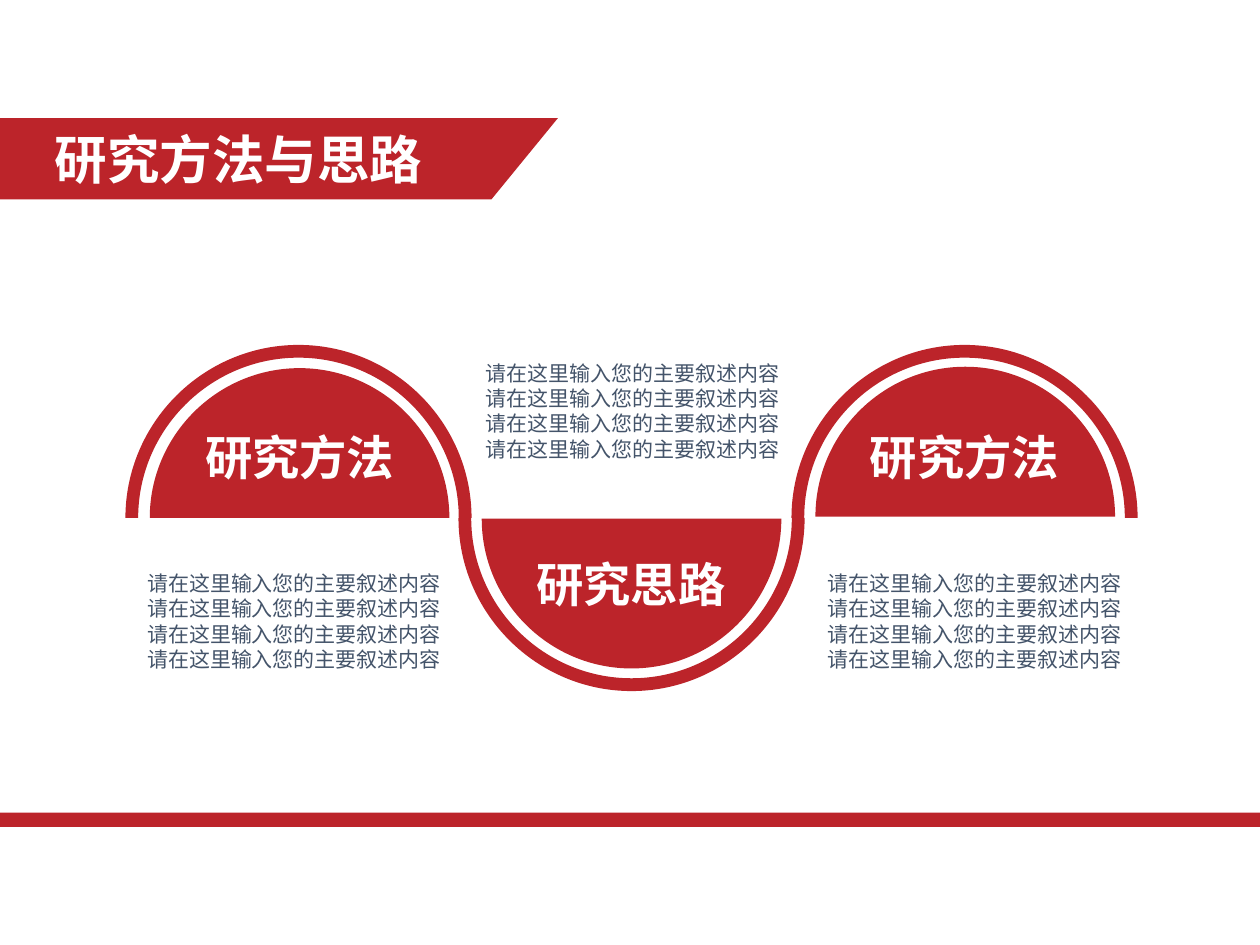
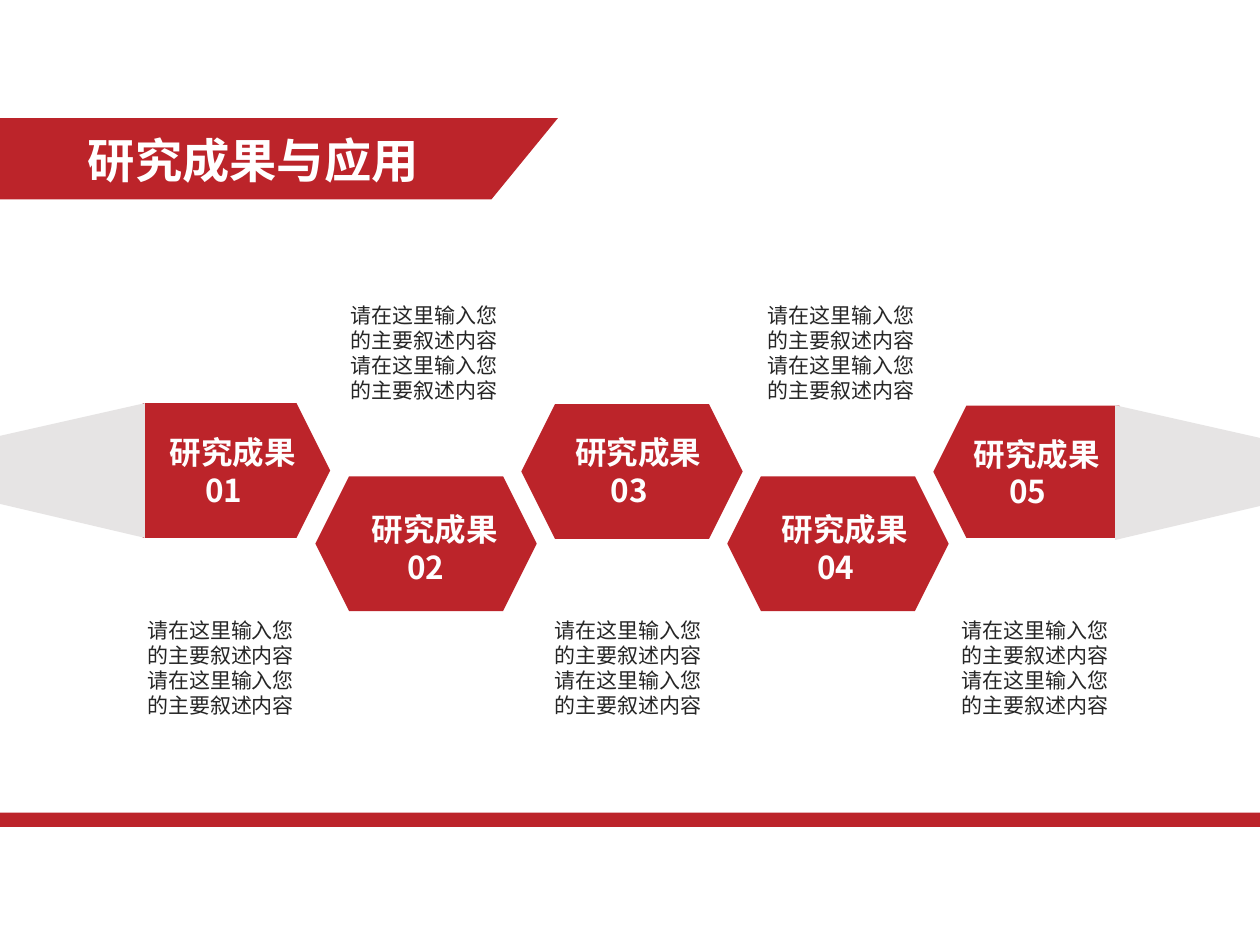
from lxml.etree import SubElement
from pptx import Presentation
from pptx.dml.color import RGBColor
from pptx.enum.shapes import MSO_SHAPE
from pptx.enum.text import MSO_AUTO_SIZE, PP_ALIGN
from pptx.oxml.ns import qn
from pptx.util import Pt

RED = RGBColor(0xBC, 0x24, 0x2A)
GREY = RGBColor(0xE6, 0xE4, 0xE4)
WHITE = RGBColor(0xFF, 0xFF, 0xFF)
OFF_WHITE = RGBColor(0xFE, 0xFE, 0xFE)
SLATE = RGBColor(0x44, 0x54, 0x6A)
INK = RGBColor(0x26, 0x26, 0x26)
SC_FONT = "Noto Sans CJK SC"
JP_FONT = "Noto Sans CJK JP"
PAGE_WIDTH, PAGE_HEIGHT = 720, 540
ARC_HANDLE = 0.55


def write(paragraph, text, *, size, color, font=SC_FONT, bold=False,
          align=PP_ALIGN.LEFT, indent=0):
    """Fill a paragraph with one formatted run."""
    paragraph.alignment = align
    paragraph.line_spacing = Pt(1.2 * size)
    if indent:
        properties = paragraph._p.get_or_add_pPr()
        properties.set("marL", str(Pt(indent)))
        properties.set("indent", "0")
    run = paragraph.add_run()
    run.text = text
    run.font.name = font
    run.font.size = Pt(size)
    run.font.bold = bold
    run.font.color.rgb = color
    SubElement(run._r.get_or_add_rPr(), qn("a:ea")).set("typeface", font)


def half_circle(center_x, base, radius, side):
    """Return left end, peak and right end; side is -1 above the base, 1 below."""
    return [(center_x - radius, base), (center_x, base + side * radius),
            (center_x + radius, base)]


def bend_quarters(shape):
    """Turn the two segments at each peak of an outline into quarter circles."""
    segments = list(shape._element.iter(qn("a:moveTo"), qn("a:lnTo")))
    points = [(int(segment[0].get("x")), int(segment[0].get("y")))
              for segment in segments]
    for index in range(1, len(points)):
        if index % 3 == 0:
            continue
        (x0, y0), (x1, y1) = points[index - 1:index + 1]
        dx, dy = ARC_HANDLE * (x1 - x0), ARC_HANDLE * (y1 - y0)
        if index % 3 == 1:
            handles = [(x0, y0 + dy), (x1 - dx, y1)]
        else:
            handles = [(x0 + dx, y0), (x1, y1 - dy)]
        segment = segments[index]
        segment.tag = qn("a:cubicBezTo")
        segment.remove(segment[0])
        for x, y in handles + [(x1, y1)]:
            SubElement(segment, qn("a:pt"), x=str(round(x)), y=str(round(y)))


class Deck:
    """Holds the presentation, the shared style and the current slide."""

    def __init__(self):
        self.presentation = Presentation()
        self.presentation.slide_width = Pt(PAGE_WIDTH)
        self.presentation.slide_height = Pt(PAGE_HEIGHT)
        self.slide = None

    def new_slide(self, title, left, top, **style):
        """Add a slide with the title band and the bottom bar."""
        blank = self.presentation.slide_layouts[6]
        self.slide = self.presentation.slides.add_slide(blank)
        self.outline([(0, 67.5), (318.8, 67.5), (280.8, 114), (0, 114)], RED)
        self.preset(MSO_SHAPE.RECTANGLE, 0, 464.4, PAGE_WIDTH, 8.2, RED)
        self.text([title], left, top, color=WHITE, bold=True, **style)

    def paint(self, shape, color):
        """Give a shape a flat fill without line or shadow."""
        shape.shadow.inherit = False
        shape.fill.solid()
        shape.fill.fore_color.rgb = color
        shape.line.fill.background()

    def preset(self, kind, left, top, width, height, color):
        """Draw a preset shape."""
        shape = self.slide.shapes.add_shape(
            kind, Pt(left), Pt(top), Pt(width), Pt(height))
        self.paint(shape, color)
        return shape

    def outline(self, points, color):
        """Draw a closed outline through the points."""
        start, *others = [(Pt(x), Pt(y)) for x, y in points]
        builder = self.slide.shapes.build_freeform(*start, scale=1.0)
        builder.add_line_segments(others, close=True)
        shape = builder.convert_to_shape()
        self.paint(shape, color)
        return shape

    def text(self, lines, left, top, *, size, height=None, fill=None,
             last_indent=0, **style):
        """Place lines in a box that fits them, on a filled plate if asked."""
        width = max(map(len, lines)) * size + 14.4
        height = height or len(lines) * 1.2 * size + 7.2
        if fill:
            box = self.preset(MSO_SHAPE.RECTANGLE, left, top, width, height, fill)
        else:
            box = self.slide.shapes.add_textbox(
                Pt(left), Pt(top), Pt(width), Pt(height))
        frame = box.text_frame
        frame.word_wrap = False
        frame.auto_size = MSO_AUTO_SIZE.SHAPE_TO_FIT_TEXT
        for number, line in enumerate(lines, 1):
            paragraph = frame.paragraphs[0] if number == 1 else frame.add_paragraph()
            indent = last_indent if number == len(lines) else 0
            write(paragraph, line, size=size, indent=indent, **style)

    def wave(self, center_x, side, disc_x, disc_base):
        """Draw a half ring around a half disc."""
        outer = half_circle(center_x, 296, 98.9, side)
        inner = half_circle(center_x, 296, 91.6, side)
        bend_quarters(self.outline(outer + inner[::-1], RED))
        bend_quarters(self.outline(half_circle(disc_x, disc_base, 85.6, side), RED))


def build_methods(deck):
    """Build the slide on research methods."""
    deck.new_slide("研究方法与思路", 24.1, 69.1, size=30, font=JP_FONT,
                   align=PP_ALIGN.CENTER)
    waves = [
        ("研究方法", (170.6, -1, 171.2, 296), (110, 241.2), None),
        ("研究方法", (551.2, -1, 551.6, 295.2), (489.9, 241.2), RED),
        ("研究思路", (360.9, 1, 360.9, 296.4), (299.3, 313.9), RED),
    ]
    for label, arcs, label_place, plate in waves:
        deck.wave(*arcs)
        deck.text([label], *label_place, size=27, color=WHITE, font=JP_FONT,
                  bold=True, align=PP_ALIGN.CENTER, fill=plate)
    for left, top in [(77, 322.6), (270.4, 202.5), (465.8, 322.6)]:
        deck.text(["请在这里输入您的主要叙述内容"] * 4, left, top, size=12,
                  color=SLATE, height=108.7)


def build_results(deck):
    """Build the slide on research results."""
    deck.new_slide("研究成果与应用", 43.2, 71.6, size=27)
    results = [
        (230.4, 126.2, 77, 90, 244.1),
        (272.2, 126.5, 77, 205.3, 288),
        (231, 126.5, 77, 321.6, 244.1),
        (272.2, 126.5, 77, 439.6, 288),
        (231.8, 125.2, 75.6, 549.4, 244.8),
    ]
    wing = [(82.8, 230.4), (82.8, 307.4), (0, 288), (0, 249.1)]
    mirrored_wing = [(PAGE_WIDTH - x, y + 1.2) for x, y in wing]
    wings = {1: wing, len(results): mirrored_wing}
    for number, (top, width, height, label_left, label_top) in enumerate(results, 1):
        left = 62.5 + 117.7 * (number - 1)
        deck.preset(MSO_SHAPE.HEXAGON, left, top, width, height, RED)
        if number in wings:
            deck.outline(wings[number], GREY)
        deck.text(["研究成果", f"{number:02}"], label_left, label_top, size=18,
                  color=OFF_WHITE, bold=True, last_indent=20.2)
    below = [(77 + 232.6 * column, 349.2) for column in range(3)]
    above = [(193, 169.2), (431.6, 169.2)]
    for left, top in below + above:
        deck.text(["请在这里输入您", "的主要叙述内容"] * 2, left, top, size=12,
                  color=INK, height=80)


def main():
    """Build both slides and save them."""
    deck = Deck()
    build_methods(deck)
    build_results(deck)
    deck.presentation.save("out.pptx")


if __name__ == "__main__":
    main()
